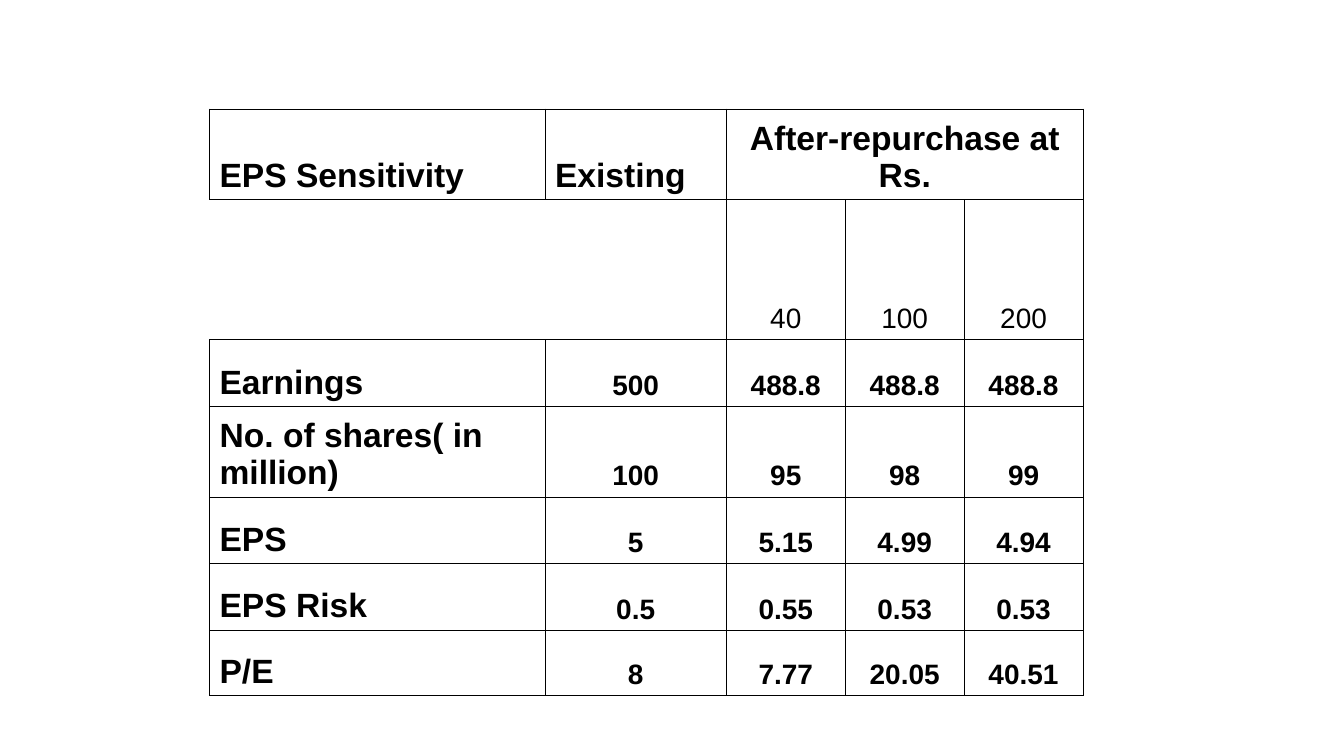
"""Build a slide with an EPS sensitivity table for share repurchase prices."""
from lxml import etree
from pptx import Presentation
from pptx.dml.color import RGBColor
from pptx.enum.text import MSO_ANCHOR, PP_ALIGN
from pptx.oxml.ns import qn
from pptx.util import Inches, Pt

BLACK = RGBColor(0x00, 0x00, 0x00)
BOTTOM = MSO_ANCHOR.BOTTOM
LEFT, CENTER = PP_ALIGN.LEFT, PP_ALIGN.CENTER

COLUMN_WIDTHS = [3.33, 1.8, 1.18, 1.18, 1.18]
ROW_HEIGHTS = [0.9, 1.39, 0.66, 0.9, 0.66, 0.66, 0.65]
ROWS = [
    ["EPS Sensitivity", "Existing", "After-repurchase at Rs.", "", ""],
    ["", "", "40", "100", "200"],
    ["Earnings", "500", "488.8", "488.8", "488.8"],
    ["No. of shares( in million)", "100", "95", "98", "99"],
    ["EPS", "5", "5.15", "4.99", "4.94"],
    ["EPS Risk", "0.5", "0.55", "0.53", "0.53"],
    ["P/E", "8", "7.77", "20.05", "40.51"],
]
PRICE_ROW = 1
OPEN_SIDES = {(PRICE_ROW, 0): "LR", (PRICE_ROW, 1): "L"}


def set_borders(cell, open_sides):
    properties = cell._tc.get_or_add_tcPr()
    for side in "LRTB":
        border = etree.SubElement(properties, qn(f"a:ln{side}"), w=str(Pt(0.45)))
        if side in open_sides:
            etree.SubElement(border, qn("a:noFill"))
        else:
            line_fill = etree.SubElement(border, qn("a:solidFill"))
            etree.SubElement(line_fill, qn("a:srgbClr"), val=str(BLACK))


prs = Presentation()
prs.slide_width, prs.slide_height = Inches(13.34), Inches(7.5)
slide = prs.slides.add_slide(prs.slide_layouts[6])

sensitivity = slide.shapes.add_table(
    len(ROWS), len(COLUMN_WIDTHS),
    Inches(2.08), Inches(1.08), Inches(8.67), Inches(5.82),
).table
sensitivity.first_row = False
sensitivity.horz_banding = False
for column, width in zip(sensitivity.columns, COLUMN_WIDTHS):
    column.width = Inches(width)
for row, height in zip(sensitivity.rows, ROW_HEIGHTS):
    row.height = Inches(height)
sensitivity.cell(0, 2).merge(sensitivity.cell(0, 4))

for row_index, values in enumerate(ROWS):
    for column_index, value in enumerate(values):
        cell = sensitivity.cell(row_index, column_index)
        set_borders(cell, OPEN_SIDES.get((row_index, column_index), ""))
        cell.fill.background()
        cell.vertical_anchor = BOTTOM
        if not value:
            continue
        cell.text = value
        is_heading = row_index == 0 or column_index == 0
        paragraph = cell.text_frame.paragraphs[0]
        is_left = column_index == 0 or (row_index == 0 and column_index == 1)
        paragraph.alignment = LEFT if is_left else CENTER
        paragraph.font.name = "Arial"
        paragraph.font.size = Pt(24 if is_heading else 20)
        paragraph.font.bold = row_index != PRICE_ROW
        paragraph.font.color.rgb = BLACK

prs.save("out.pptx")
